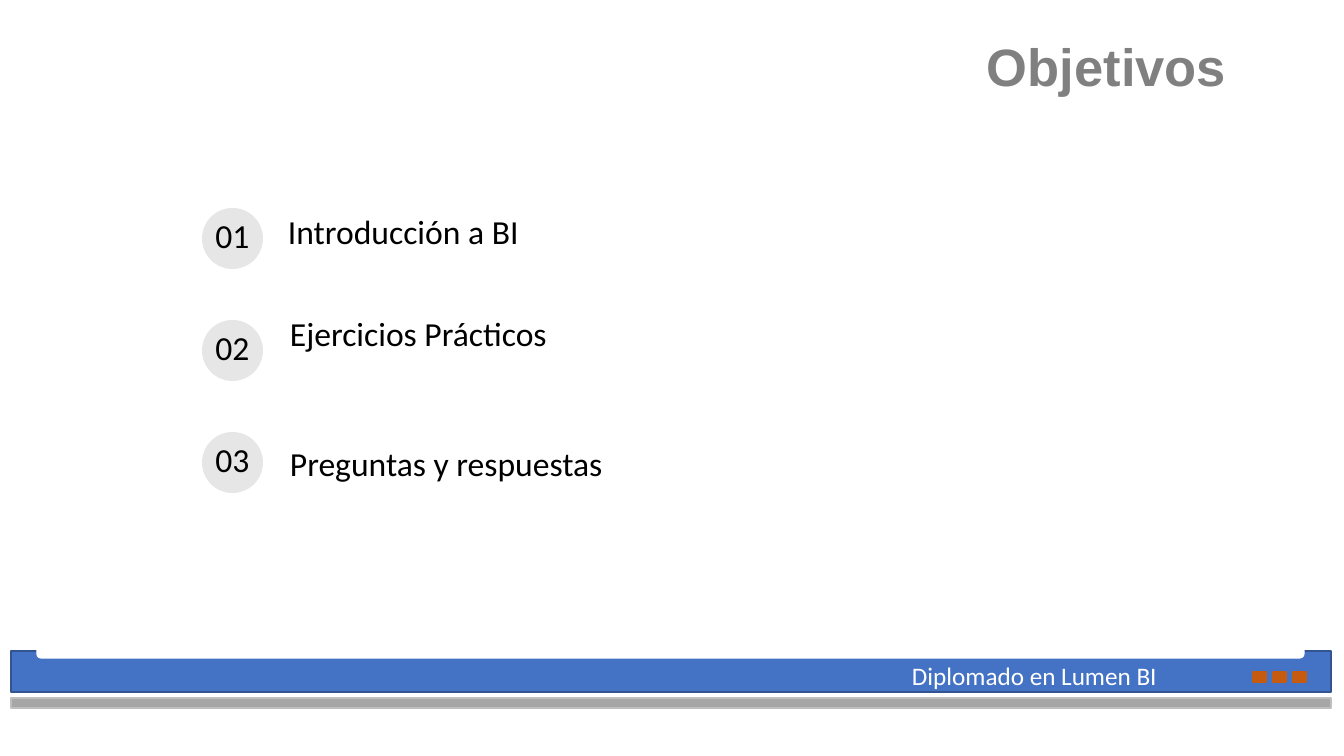
from dataclasses import dataclass

from pptx import Presentation
from pptx.dml.color import RGBColor
from pptx.enum.shapes import MSO_SHAPE
from pptx.enum.text import MSO_ANCHOR, PP_ALIGN
from pptx.slide import Slide
from pptx.util import Emu, Pt

EMU_PER_PIXEL = 914400 / 100.8

BLACK = RGBColor(0x00, 0x00, 0x00)
WHITE = RGBColor(0xFF, 0xFF, 0xFF)
TITLE_GRAY = RGBColor(0x80, 0x80, 0x80)
CIRCLE_GRAY = RGBColor(0xE7, 0xE6, 0xE6)
BLUE = RGBColor(0x44, 0x72, 0xC4)
DARK_BLUE = RGBColor(0x32, 0x54, 0x91)
STRIP_GRAY = RGBColor(0xA6, 0xA6, 0xA6)
STRIP_EDGE = RGBColor(0xBF, 0xBF, 0xBF)
ORANGE = RGBColor(0xC5, 0x5A, 0x11)


@dataclass(frozen=True)
class Box:
    left: int
    top: int
    width: int
    height: int

    def emu(self) -> list[Emu]:
        pixels = (self.left, self.top, self.width, self.height)
        return [Emu(round(value * EMU_PER_PIXEL)) for value in pixels]


@dataclass(frozen=True)
class TextStyle:
    size: float = 24
    color: RGBColor = BLACK
    font: str = "Calibri"
    bold: bool = False
    align: PP_ALIGN = PP_ALIGN.LEFT
    anchor: MSO_ANCHOR = MSO_ANCHOR.TOP
    line_spacing: float = 0.9
    space_after: int = 0
    inset_top: int = 5


@dataclass(frozen=True)
class Objective:
    text: str
    box: Box


def add_text(slide: Slide, text: str, box: Box, style: TextStyle) -> None:
    frame = slide.shapes.add_textbox(*box.emu()).text_frame
    frame.word_wrap = True
    frame.vertical_anchor = style.anchor
    frame.margin_top = Emu(round(style.inset_top * EMU_PER_PIXEL))
    paragraph = frame.paragraphs[0]
    paragraph.text = text
    paragraph.alignment = style.align
    paragraph.line_spacing = style.line_spacing
    paragraph.space_after = Pt(style.space_after)
    paragraph.font.name = style.font
    paragraph.font.size = Pt(style.size)
    paragraph.font.bold = style.bold
    paragraph.font.color.rgb = style.color


def add_block(slide: Slide, kind: MSO_SHAPE, box: Box, fill: RGBColor,
              line: RGBColor | None = None) -> None:
    shape = slide.shapes.add_shape(kind, *box.emu())
    shape.shadow.inherit = False
    shape.fill.solid()
    shape.fill.fore_color.rgb = fill
    if line is None:
        shape.line.fill.background()
    else:
        shape.line.color.rgb = line
        shape.line.width = Pt(1)


TITLE_STYLE = TextStyle(size=37.5, color=TITLE_GRAY, font="Arial", bold=True,
                        align=PP_ALIGN.RIGHT, anchor=MSO_ANCHOR.BOTTOM,
                        line_spacing=0.7)
NUMBER_STYLE = TextStyle(align=PP_ALIGN.CENTER, inset_top=20)
OBJECTIVE_STYLE = TextStyle(space_after=12, inset_top=0)
FOOTER_STYLE = TextStyle(size=18, color=WHITE, line_spacing=1.0)

OBJECTIVES = [
    Objective("Introducción a BI", Box(278, 215, 673, 45)),
    Objective("Ejercicios Prácticos", Box(280, 317, 414, 80)),
    Objective("Preguntas y respuestas", Box(280, 447, 361, 61)),
]
FIRST_CIRCLE_TOP = 208
CIRCLE_PITCH = 112
CIRCLE_SIZE = 61

presentation = Presentation()
presentation.slide_width, presentation.slide_height = Box(0, 0, 1344, 756).emu()[2:]
slide = presentation.slides.add_slide(presentation.slide_layouts[6])

# Title
add_text(slide, "Objetivos ", Box(142, 40, 1109, 60), TITLE_STYLE)

# Numbered objectives
for index, objective in enumerate(OBJECTIVES):
    top = FIRST_CIRCLE_TOP + index * CIRCLE_PITCH
    add_block(slide, MSO_SHAPE.OVAL,
              Box(202, top, CIRCLE_SIZE, CIRCLE_SIZE), CIRCLE_GRAY)
    add_text(slide, f"{index + 1:02d}",
             Box(187, top - 9, 91, CIRCLE_SIZE), NUMBER_STYLE)
    add_text(slide, objective.text, objective.box, OBJECTIVE_STYLE)

# Footer band, its white cut-out and the gray strip below
add_block(slide, MSO_SHAPE.RECTANGLE, Box(11, 651, 1320, 41), BLUE, DARK_BLUE)
add_block(slide, MSO_SHAPE.ROUNDED_RECTANGLE, Box(37, 632, 1267, 26), WHITE, WHITE)
add_block(slide, MSO_SHAPE.RECTANGLE, Box(11, 698, 1320, 10), STRIP_GRAY, STRIP_EDGE)

# Orange footer marks
for index in range(3):
    add_block(slide, MSO_SHAPE.RECTANGLE,
              Box(1253 + index * 20, 672, 13, 10), ORANGE, ORANGE)

# Footer text
add_text(slide, "Diplomado en Lumen BI", Box(902, 655, 348, 41), FOOTER_STYLE)

presentation.save("out.pptx")
